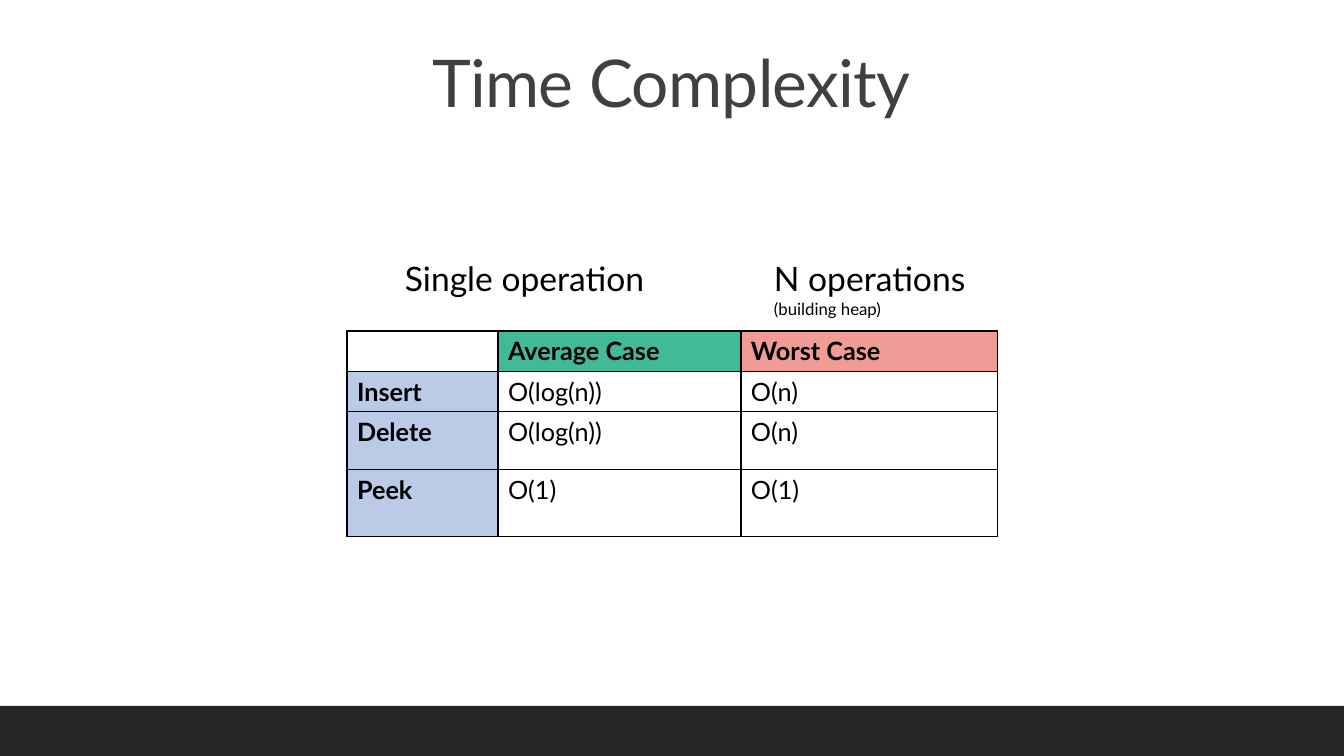
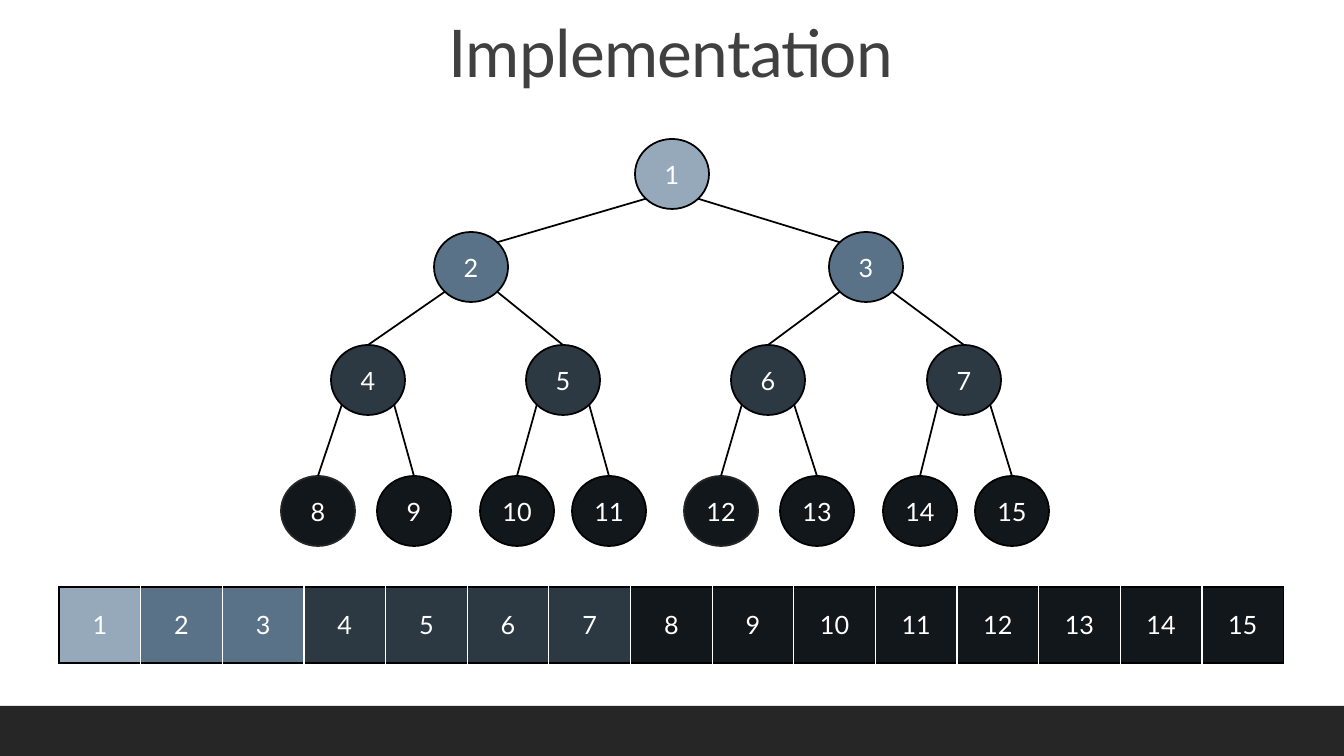
import math
import pptx
import pptx.dml.color
import pptx.enum.shapes
import pptx.enum.text
import pptx.oxml
import pptx.oxml.ns
import pptx.util

PX = 9071  # EMU per pixel
FONT = "Lato"
BLACK, WHITE, DARK, GREY = "000000", "FFFFFF", "262626", "404040"
GREEN, RED, BLUE = "42BA97", "EE9C95", "BACAE7"

rgb = pptx.dml.color.RGBColor.from_string
Pt = pptx.util.Pt
MSO_SHAPE = pptx.enum.shapes.MSO_SHAPE
CENTER = pptx.enum.text.PP_ALIGN.CENTER
MIDDLE = pptx.enum.text.MSO_ANCHOR.MIDDLE


def write(p, text, size, color, bold=False, align=None):
    """Add one formatted run to a paragraph and return the run."""
    r = p.add_run()
    r.text = text
    for name, value in {"name": FONT, "size": Pt(size), "bold": bold}.items():
        setattr(r.font, name, value)
    r.font.color.rgb = rgb(color)
    p.alignment = align
    return r


def style_cell(cell, fill, borders):
    """Give a cell its four 1 pt borders (left, right, top, bottom) and its fill."""
    tcPr = cell._tc.get_or_add_tcPr()
    for side, color in zip("LRTB", borders):
        tcPr.append(pptx.oxml.parse_xml(
            f'<a:ln{side} {pptx.oxml.ns.nsdecls("a")} w="12700"><a:solidFill>'
            f'<a:srgbClr val="{color}"/></a:solidFill></a:ln{side}>'))
    if fill:
        cell.fill.solid()
        cell.fill.fore_color.rgb = rgb(fill)
    else:
        cell.fill.background()


prs = pptx.Presentation()
prs.slide_width, prs.slide_height = 1344 * PX, 756 * PX

# Both slides: footer band and title
slides = []
for title, left, top, width in [("Time Complexity", 397, 46, 549),
                                ("Implementation", 416, 16, 510)]:
    s = prs.slides.add_slide(prs.slide_layouts[6])
    band = s.shapes.add_shape(MSO_SHAPE.RECTANGLE, 0, 706 * PX, 1344 * PX, 50 * PX)
    band.shadow.inherit = False
    band.fill.solid()
    band.fill.fore_color.rgb = rgb(DARK)
    band.line.fill.background()
    tf = s.shapes.add_textbox(left * PX, top * PX, width * PX, 87 * PX).text_frame
    tf.word_wrap = True
    p = tf.paragraphs[0]
    p.line_spacing = 0.9
    r = write(p, title, 47, GREY, align=CENTER)
    r.font._element.set("spc", "-50")
    slides.append(s)
complexity, implementation = slides

# Time Complexity: column captions
captions = [(395, 276, 50, [("Single operation", 24)]),
            (764, 221, 72, [("N operations", 24), ("(building heap)", 12)])]
for left, width, height, lines in captions:
    tf = complexity.shapes.add_textbox(left * PX, 253 * PX, width * PX, height * PX).text_frame
    tf.word_wrap = False
    tf.auto_size = pptx.enum.text.MSO_AUTO_SIZE.SHAPE_TO_FIT_TEXT
    for i, (text, size) in enumerate(lines):
        p = tf.add_paragraph() if i else tf.paragraphs[0]
        write(p, text, size, BLACK)

# Time Complexity: table of costs
costs = [["", "Average Case", "Worst Case"],
         ["Insert", "O(log(n))", "O(n)"],
         ["Delete", "O(log(n))", "O(n)"],
         ["Peek", "O(1)", "O(1)"]]
widths, heights = [151, 243, 257], [40, 40, 58, 67]
table = complexity.shapes.add_table(4, 3, 347 * PX, 331 * PX,
                                    sum(widths) * PX, sum(heights) * PX).table
table.first_row = table.horz_banding = False
for column, width in zip(table.columns, widths):
    column.width = width * PX
for i, row in enumerate(costs):
    table.rows[i].height = heights[i] * PX
    for j, text in enumerate(row):
        cell = table.cell(i, j)
        if i == 0:
            fill = [None, GREEN, RED][j]
        else:
            fill = BLUE if j == 0 else None
        style_cell(cell, fill, [BLACK] * 4)
        if text:
            write(cell.text_frame.paragraphs[0], text, 18, BLACK, bold=i == 0 or j == 0)

# Implementation: heap levels as fill, top, left edges
levels = [("96A9BA", 139, [635]),
          ("597287", 232, [434, 829]),
          ("2C3943", 345, [331, 526, 731, 927]),
          ("12171B", 476, [281, 377, 480, 572, 684, 780, 883, 975])]
NODE_W, NODE_H = 74, 70
nodes = [(fill, left, top) for fill, top, lefts in levels for left in lefts]
for n, (fill, left, top) in enumerate(nodes, 1):
    sp = implementation.shapes.add_shape(MSO_SHAPE.OVAL, left * PX, top * PX,
                                         NODE_W * PX, NODE_H * PX)
    sp.shadow.inherit = False
    sp.fill.solid()
    sp.fill.fore_color.rgb = rgb(fill)
    sp.line.color.rgb = rgb(DARK if n in (8, 12) else BLACK)
    sp.line.width = Pt(1.25)
    tf = sp.text_frame
    tf.vertical_anchor = MIDDLE
    tf.margin_left = tf.margin_right = 0
    write(tf.paragraphs[0], str(n), 18, WHITE, align=CENTER)

# Implementation: edges from each parent's lower diagonal to its child
dx, dy = NODE_W / 2 * math.sqrt(0.5), NODE_H / 2 * math.sqrt(0.5)
for n in range(2, len(nodes) + 1):
    side = -1 if n % 2 == 0 else 1
    _, parent_left, parent_top = nodes[n // 2 - 1]
    _, left, top = nodes[n - 1]
    start = (parent_left + NODE_W / 2 + side * dx, parent_top + NODE_H / 2 + dy)
    if n < 4:
        end = (left + NODE_W / 2 - side * dx, top + NODE_H / 2 - dy)
    else:
        end = (left + NODE_W / 2, top)
    line = implementation.shapes.add_connector(
        pptx.enum.shapes.MSO_CONNECTOR.STRAIGHT, *[round(v * PX) for v in start + end])
    line.line.color.rgb = rgb(BLACK)
    line.line.width = Pt(1.25)
    line._element.spPr.append(
        pptx.oxml.parse_xml(f'<a:effectLst {pptx.oxml.ns.nsdecls("a")}/>'))

# Implementation: the heap as an array
count = len(nodes)
array = implementation.shapes.add_table(1, count, 59 * PX, 587 * PX, 1225 * PX, 76 * PX).table
array.first_row = array.horz_banding = False
for n, (fill, _, _) in enumerate(nodes, 1):
    array.columns[n - 1].width = 1225 * PX // count
    cell = array.cell(0, n - 1)
    style_cell(cell, fill, [BLACK if n == 1 else WHITE,
                            BLACK if n == count else WHITE, BLACK, BLACK])
    cell.vertical_anchor = MIDDLE
    write(cell.text_frame.paragraphs[0], str(n), 18, WHITE, align=CENTER)

prs.save("out.pptx")
